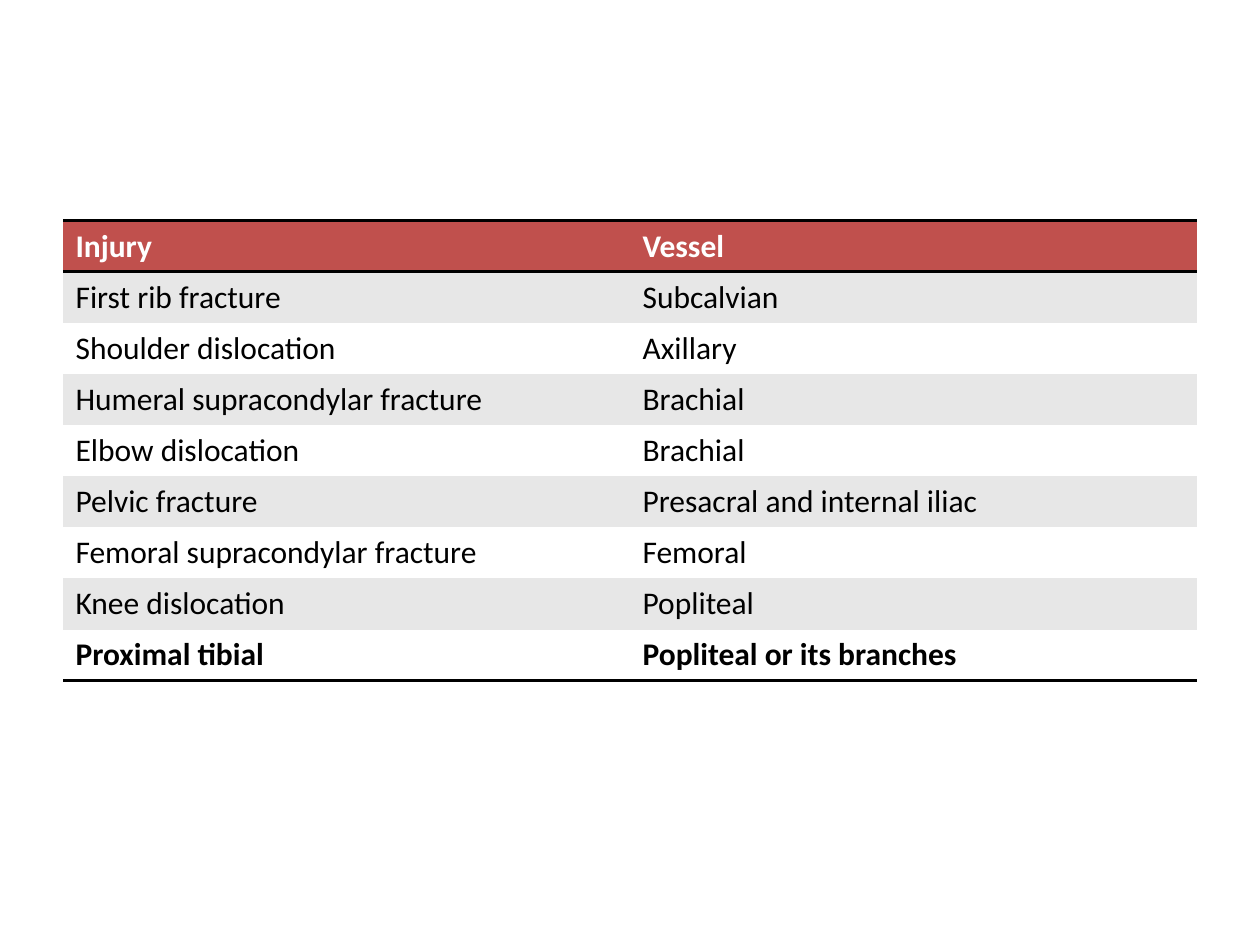
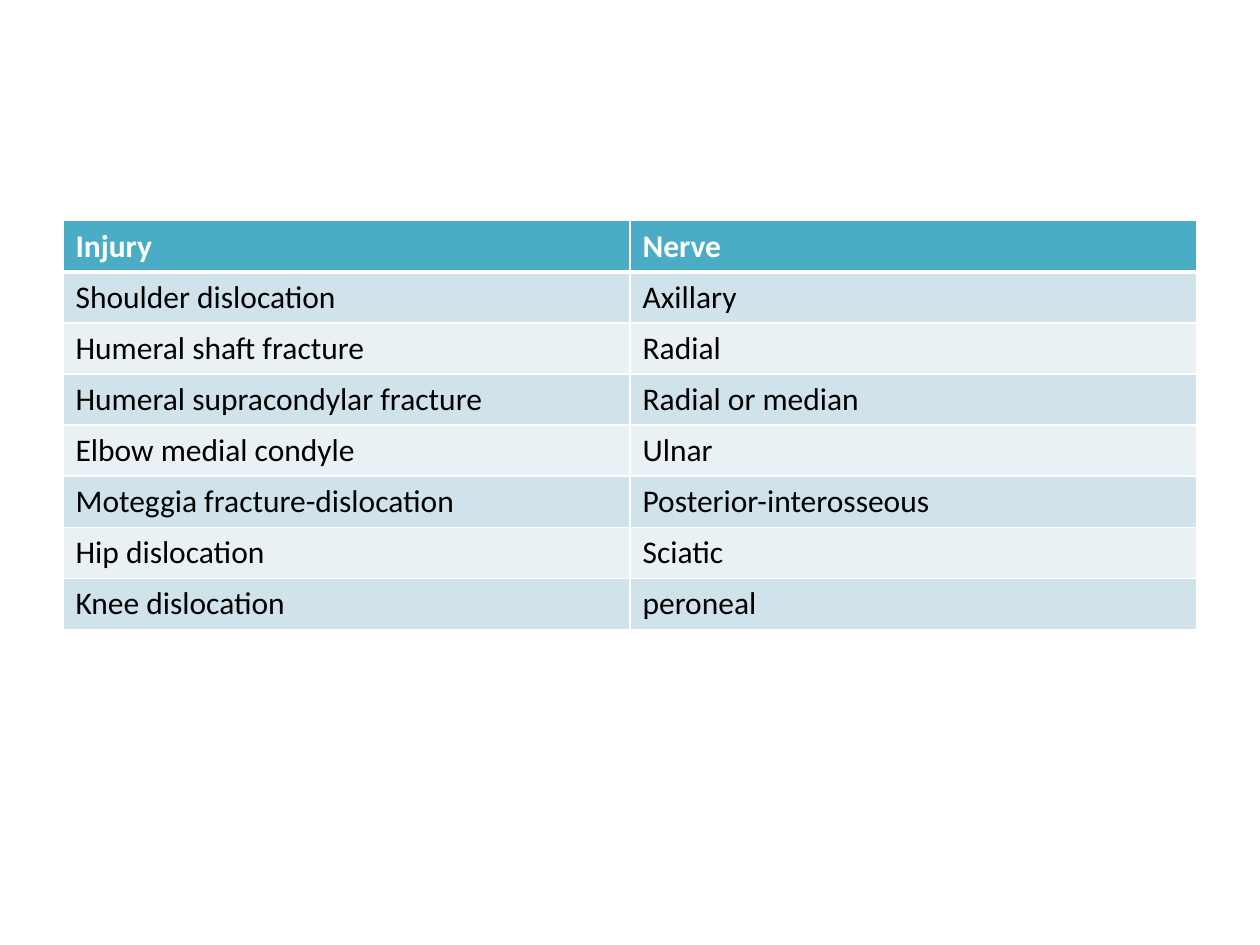
import pptx
import pptx.dml.color
import pptx.oxml
import pptx.oxml.ns
import pptx.util
from lxml import etree

Cm = pptx.util.Cm
Pt = pptx.util.Pt

VESSEL_INJURIES = [
    ("Injury", "Vessel"),
    ("First rib fracture", "Subcalvian"),
    ("Shoulder dislocation", "Axillary"),
    ("Humeral supracondylar fracture", "Brachial"),
    ("Elbow dislocation", "Brachial"),
    ("Pelvic fracture", "Presacral and internal iliac"),
    ("Femoral supracondylar fracture", "Femoral"),
    ("Knee dislocation", "Popliteal"),
    ("Proximal tibial", "Popliteal or its branches"),
]
NERVE_INJURIES = [
    ("Injury", "Nerve"),
    ("Shoulder dislocation", "Axillary"),
    ("Humeral shaft fracture", "Radial"),
    ("Humeral supracondylar fracture", "Radial or median"),
    ("Elbow medial condyle", "Ulnar"),
    ("Moteggia fracture-dislocation", "Posterior-interosseous"),
    ("Hip dislocation", "Sciatic"),
    ("Knee dislocation", "peroneal"),
]
VESSEL_STYLE = {
    "header": "C0504D", "bands": ("E7E7E7", "FFFFFF"), "rule": "000000",
    "top": 2, "under_header": 2, "inner": 0, "bottom": 2, "sides": 0,
    "bold_last": True,
}
NERVE_STYLE = {
    "header": "4BACC6", "bands": ("D0E3EA", "E9F1F5"), "rule": "FFFFFF",
    "top": 1, "under_header": 3, "inner": 1, "bottom": 1, "sides": 1,
    "bold_last": False,
}


def rgb(value):
    return pptx.dml.color.RGBColor.from_string(value)


class Deck:
    font_name = "Calibri"
    font_size = Pt(18)
    left, top = Cm(1.27), Cm(4.45)
    column_width, row_height = Cm(11.43), Cm(1.03)

    def __init__(self):
        self.presentation = pptx.Presentation()
        self.presentation.slide_width = Cm(25.4)
        self.presentation.slide_height = Cm(19.05)
        self.slide = None

    def new_slide(self):
        self.slide = self.presentation.slides.add_slide(self.presentation.slide_layouts[6])

    def border(self, cell, side, width, colour):
        qn = pptx.oxml.ns.qn
        line = etree.SubElement(cell._tc.get_or_add_tcPr(), qn(f"a:ln{side}"), w=str(Pt(width)))
        if width:
            fill = etree.SubElement(line, qn("a:solidFill"))
            etree.SubElement(fill, qn("a:srgbClr"), val=colour)
        else:
            etree.SubElement(line, qn("a:noFill"))

    def cell(self, cell, text, fill, colour, bold, borders, rule):
        for side, width in borders.items():
            self.border(cell, side, width, rule)
        cell.fill.solid()
        cell.fill.fore_color.rgb = rgb(fill)
        cell.text = text
        font = cell.text_frame.paragraphs[0].runs[0].font
        font.color.rgb = rgb(colour)
        for attribute, value in {"name": self.font_name, "size": self.font_size, "bold": bold}.items():
            setattr(font, attribute, value)

    def injury_table(self, injuries, style):
        count, columns = len(injuries), len(injuries[0])
        table = self.slide.shapes.add_table(
            count, columns, self.left, self.top,
            self.column_width * columns, self.row_height * count).table
        for column in table.columns:
            column.width = self.column_width
        rules = [style["top"], style["under_header"],
                 *[style["inner"]] * (count - 2), style["bottom"]]
        for index, injury in enumerate(injuries):
            table.rows[index].height = self.row_height
            header = index == 0
            last = index == count - 1
            fill = style["header"] if header else style["bands"][(index - 1) % 2]
            borders = {"L": style["sides"], "R": style["sides"],
                       "T": rules[index], "B": rules[index + 1]}
            for position, text in enumerate(injury):
                self.cell(table.cell(index, position), text, fill,
                          "FFFFFF" if header else "000000",
                          header or (last and style["bold_last"]), borders, style["rule"])


def main():
    deck = Deck()
    for injuries, style in ((VESSEL_INJURIES, VESSEL_STYLE), (NERVE_INJURIES, NERVE_STYLE)):
        deck.new_slide()
        deck.injury_table(injuries, style)
    deck.presentation.save("out.pptx")


if __name__ == "__main__":
    main()
